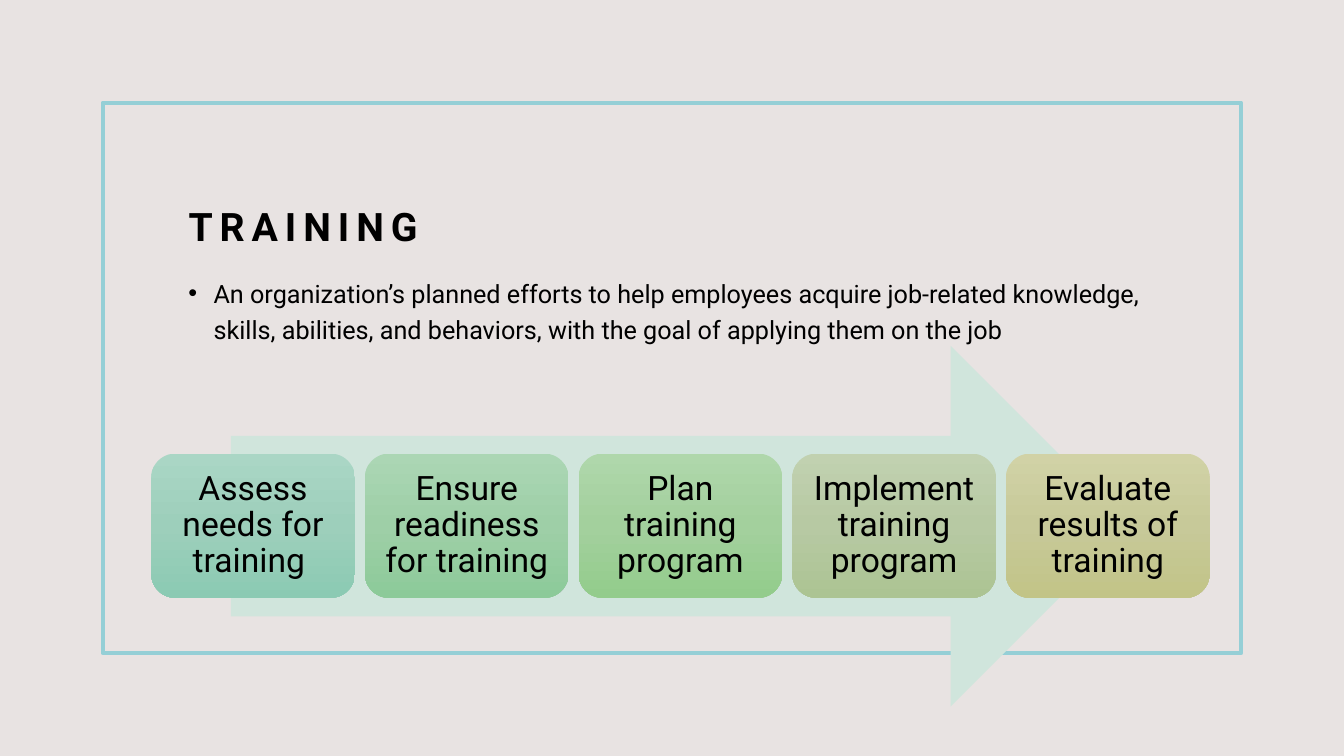
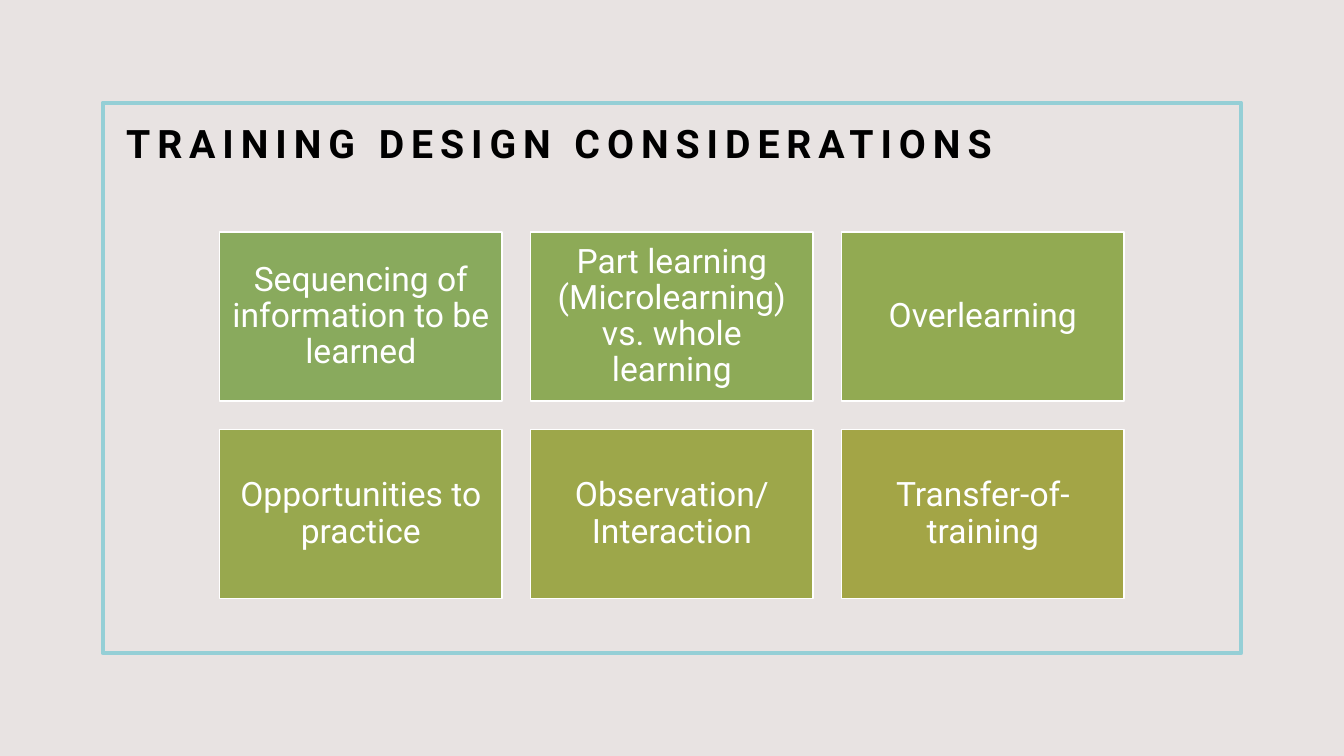
import copy
import dataclasses

import lxml.etree
import pptx
import pptx.dml.color
import pptx.enum.shapes
import pptx.enum.text
import pptx.oxml.ns
import pptx.util

SHAPE = pptx.enum.shapes.MSO_SHAPE
ALIGN = pptx.enum.text.PP_ALIGN
ANCHOR = pptx.enum.text.MSO_ANCHOR


@dataclasses.dataclass(frozen=True)
class Theme:
    font: str = "Roboto"
    background: str = "E8E3E2"
    frame: str = "95CFD6"
    arrow: str = "D0E5DC"
    dark: str = "000000"
    light: str = "FFFFFF"
    title_size: int = 28
    body_size: int = 18
    label_size: int = 24
    title_tracking: int = 500
    frame_line: int = 3
    tile_line: int = 1
    text_spacing: float = 1.2
    label_spacing: float = 0.9


FRAME = (7.65, 13.6, 84.7, 72.8)

STEPS = [
    ("Assess needs for training ", ("AAD6C5", "9DCFBB", "8BCAB3")),
    ("Ensure readiness for training", ("ABD6B4", "9ECFA7", "8CCA99")),
    ("Plan training program", ("AFD7AB", "A3D09D", "93CC8C")),
    ("Implement training program", ("C1D1B0", "B7C9A3", "ACC493")),
    ("Evaluate results of training", ("D1D2A6", "C7C999", "C2C487")),
]

CONSIDERATIONS = [
    ("Sequencing of information to be learned", "89AA5D"),
    ("Part learning (Microlearning) vs. whole learning", "8DAA57"),
    ("Overlearning", "92AA52"),
    ("Opportunities to practice", "98A84E"),
    ("Observation/ Interaction", "9DA74A"),
    ("Transfer-of-training", "A3A546"),
]


def color(code):
    return pptx.dml.color.RGBColor.from_string(code)


def cells(area, columns, rows, size):
    left, top, width, height = area
    cell_width, cell_height = size
    column_gap = (width - columns * cell_width) / max(columns - 1, 1)
    row_gap = (height - rows * cell_height) / max(rows - 1, 1)
    return [
        (left + column * (cell_width + column_gap),
         top + row * (cell_height + row_gap), cell_width, cell_height)
        for row in range(rows) for column in range(columns)
    ]


class Slides:
    """Holds the theme and the current page; boxes are percentages of the slide."""

    def __init__(self, theme):
        self.theme = theme
        self.deck = pptx.Presentation()
        self.deck.slide_width = pptx.util.Inches(13.333)
        self.deck.slide_height = pptx.util.Inches(7.5)
        fill = self.deck.slide_master.background.fill
        fill.solid()
        fill.fore_color.rgb = color(theme.background)
        self.page = None

    def place(self, box):
        sides = (self.deck.slide_width, self.deck.slide_height) * 2
        return [round(share * side / 100) for share, side in zip(box, sides)]

    def fill_text(self, frame, text, size, ink, spacing, align, anchor):
        frame.text = text
        frame.word_wrap = True
        frame.auto_size = pptx.enum.text.MSO_AUTO_SIZE.NONE
        frame.vertical_anchor = anchor
        para = frame.paragraphs[0]
        para.alignment = align
        para.line_spacing = spacing
        span = para.runs[0]
        span.font.name = self.theme.font
        span.font.size = pptx.util.Pt(size)
        span.font.color.rgb = color(ink)
        return para

    def add_page(self, title, box, anchor):
        self.page = self.deck.slides.add_slide(self.deck.slide_layouts[5])
        frame = self.shape(SHAPE.RECTANGLE, FRAME)
        self.outline(frame, self.theme.frame, self.theme.frame_line)
        holder = self.page.shapes.title
        holder.left, holder.top, holder.width, holder.height = self.place(box)
        para = self.fill_text(holder.text_frame, title, self.theme.title_size, self.theme.dark,
                              self.theme.text_spacing, ALIGN.LEFT, anchor)
        span = para.runs[0]
        span.font.bold = True
        span.font._element.set("spc", str(self.theme.title_tracking))

    def shape(self, kind, box, fill=None):
        shape = self.page.shapes.add_shape(kind, *self.place(box))
        shape.shadow.inherit = False
        shape.line.fill.background()
        if fill:
            shape.fill.solid()
            shape.fill.fore_color.rgb = color(fill)
        else:
            shape.fill.background()
        return shape

    def outline(self, shape, ink, width):
        shape.line.color.rgb = color(ink)
        shape.line.width = pptx.util.Pt(width)

    def bullet(self, text, box):
        holder = self.page.shapes.add_textbox(*self.place(box))
        para = self.fill_text(holder.text_frame, text, self.theme.body_size, self.theme.dark,
                              self.theme.text_spacing, ALIGN.LEFT, ANCHOR.TOP)
        properties = para._p.get_or_add_pPr()
        indent = pptx.util.Inches(0.25)
        properties.set("marL", str(indent))
        properties.set("indent", str(-indent))
        qn = pptx.oxml.ns.qn
        lxml.etree.SubElement(properties, qn("a:buFont")).set("typeface", "Arial")
        lxml.etree.SubElement(properties, qn("a:buChar")).set("char", "•")

    def label(self, shape, text, ink):
        frame = shape.text_frame
        inset = pptx.util.Inches(0.1)
        frame.margin_left = frame.margin_right = inset
        frame.margin_top = frame.margin_bottom = inset
        self.fill_text(frame, text, self.theme.label_size, ink,
                       self.theme.label_spacing, ALIGN.CENTER, ANCHOR.MIDDLE)

    def step(self, text, box, shades):
        shape = self.shape(SHAPE.ROUNDED_RECTANGLE, box)
        shape.fill.gradient()
        shape.fill.gradient_angle = 270
        stop_list = shape.element.spPr.find(".//" + pptx.oxml.ns.qn("a:gsLst"))
        stop_list.insert(1, copy.deepcopy(stop_list[0]))
        for stop, position, shade in zip(shape.fill.gradient_stops, (0, 0.5, 1), shades):
            stop.position = position
            stop.color.rgb = color(shade)
        self.label(shape, text, self.theme.dark)

    def tile(self, text, box, fill):
        shape = self.shape(SHAPE.RECTANGLE, box, fill)
        self.outline(shape, self.theme.light, self.theme.tile_line)
        self.label(shape, text, self.theme.light)


def add_training(slides):
    slides.add_page("TRAINING", (13.28, 18, 73.65, 15.6), ANCHOR.BOTTOM)
    slides.bullet(
        "An organization’s planned efforts to help employees acquire job-related knowledge, "
        "skills, abilities, and behaviors, with the goal of applying them on the job",
        (13.28, 35.33, 73.65, 45.87))
    slides.shape(SHAPE.RIGHT_ARROW, (17.18, 45.73, 66.98, 47.73), slides.theme.arrow)
    boxes = cells((11.25, 60, 78.75, 19.07), len(STEPS), 1, (15.15, 19.07))
    for (text, shades), box in zip(STEPS, boxes):
        slides.step(text, box, shades)


def add_considerations(slides):
    slides.add_page("TRAINING DESIGN CONSIDERATIONS", (8.63, 13.87, 75.6, 17.07), ANCHOR.TOP)
    boxes = cells((16.35, 30.67, 67.28, 48.53), 3, 2, (21, 22.4))
    for (text, fill), box in zip(CONSIDERATIONS, boxes):
        slides.tile(text, box, fill)


def main():
    slides = Slides(Theme())
    add_training(slides)
    add_considerations(slides)
    slides.deck.save("out.pptx")


if __name__ == "__main__":
    main()
